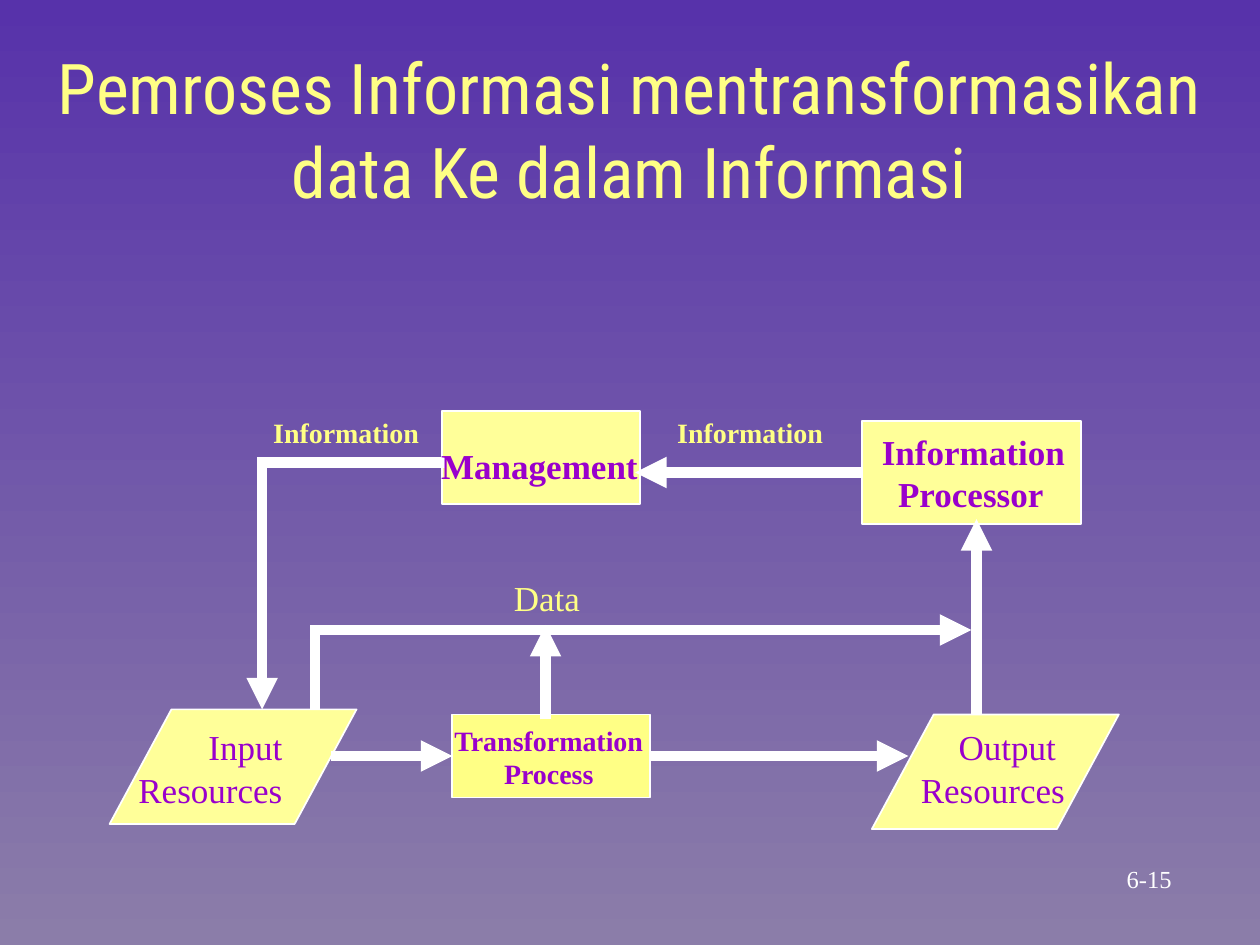
from dataclasses import dataclass
from typing import Optional

from lxml.etree import SubElement
from pptx import Presentation
from pptx.dml.color import RGBColor
from pptx.enum.shapes import MSO_CONNECTOR, MSO_SHAPE
from pptx.enum.text import MSO_ANCHOR, MSO_AUTO_SIZE, PP_ALIGN
from pptx.oxml.ns import qn
from pptx.util import Inches, Pt

COLORS = {
    "sky": "5732AA", "haze": "8B7DA9", "cream": "FFFF99",
    "yellow": "FFFF85", "purple": "9900CC", "white": "FFFFFF",
}
SERIF = "Times New Roman"
LEFT, CENTER, RIGHT = PP_ALIGN.LEFT, PP_ALIGN.CENTER, PP_ALIGN.RIGHT
LEFT_SIDE, RIGHT_SIDE = 1, 3


@dataclass
class Node:
    kind: MSO_SHAPE
    box: tuple
    fill: str = "cream"


@dataclass
class Flow:
    start: tuple
    end: tuple
    arrow: bool = True
    source: Optional[tuple] = None  # node name and side
    target: Optional[tuple] = None


@dataclass
class Label:
    lines: tuple
    box: tuple
    size: int = 20
    color: str = "purple"
    bold: bool = False
    align: PP_ALIGN = LEFT
    anchor: MSO_ANCHOR = MSO_ANCHOR.TOP


NODES = {
    "input": Node(MSO_SHAPE.PARALLELOGRAM, (0.87, 5.63, 1.96, 0.91)),
    "management": Node(MSO_SHAPE.RECTANGLE, (3.51, 3.26, 1.57, 0.74)),
    "transformation": Node(MSO_SHAPE.RECTANGLE, (3.59, 5.67, 1.57, 0.66), "yellow"),
    "processor": Node(MSO_SHAPE.RECTANGLE, (6.84, 3.34, 1.74, 0.82)),
    "output": Node(MSO_SHAPE.PARALLELOGRAM, (6.92, 5.67, 1.96, 0.91)),
}

FLOWS = [
    Flow((6.84, 3.75), (5.04, 3.75), source=("processor", LEFT_SIDE)),
    Flow((7.75, 5.67), (7.75, 4.12)),
    Flow((5.16, 6), (7.21, 6), source=("transformation", RIGHT_SIDE)),
    Flow((2.63, 6), (3.59, 6), target=("transformation", LEFT_SIDE)),
    Flow((3.54, 3.67), (2.04, 3.67), arrow=False),
    Flow((2.08, 3.71), (2.08, 5.63)),
    Flow((2.5, 5.63), (2.5, 4.96), arrow=False),
    Flow((2.54, 5), (7.71, 5)),
    Flow((4.33, 5.71), (4.33, 4.96)),
]

LABELS = [
    Label(("Management",), (3.34, 3.48, 1.82, 0.43), bold=True, align=RIGHT),
    Label(("Information",), (6.9, 3.37, 1.75, 0.43), bold=True),
    Label(("Processor",), (6.82, 3.7, 1.56, 0.43), bold=True, align=RIGHT),
    Label(("Output",), (7.51, 5.71, 1.15, 0.43)),
    Label(("Resources",), (7.21, 6.05, 1.5, 0.43)),
    Label(("Input",), (1.41, 5.71, 0.93, 0.43), align=RIGHT),
    Label(("Resources",), (1, 6.05, 1.5, 0.43)),
    Label(("Information",), (2.07, 3.25, 1.44, 0.36), 16, "yellow", True),
    Label(("Information",), (5.15, 3.25, 1.48, 0.36), 16, "yellow", True, RIGHT),
    Label(("Data",), (3.98, 4.53, 0.9, 0.43), color="yellow"),
    Label(("Transformation", "Process"), (3.45, 5.69, 1.81, 0.63), 16,
          bold=True, align=CENTER),
    Label(("6-15",), (8.53, 6.8, 1.18, 0.34), 14, "white", align=CENTER,
          anchor=MSO_ANCHOR.MIDDLE),
]


def rgb(name: str) -> RGBColor:
    return RGBColor.from_string(COLORS[name])


def inches(values: tuple) -> list:
    return [Inches(value) for value in values]


def paint_background(slide) -> None:
    fill = slide.background.fill
    fill.gradient()
    fill.gradient_angle = 270
    for stop, color in zip(fill.gradient_stops, ("sky", "haze")):
        stop.color.rgb = rgb(color)


def write(frame, lines: tuple, font_name: str, size: int, color: str,
          bold: bool, align: PP_ALIGN) -> None:
    frame.text = "\n".join(lines)
    for paragraph in frame.paragraphs:
        paragraph.alignment = align
        font = paragraph.font
        font.name, font.size, font.bold = font_name, Pt(size), bold
        font.color.rgb = rgb(color)


def set_title(slide, lines: tuple) -> None:
    title = slide.shapes.title
    title.left, title.top, title.width, title.height = inches((-0.61, 0.3, 11.21, 1.43))
    frame = title.text_frame
    frame.auto_size = MSO_AUTO_SIZE.NONE
    frame.vertical_anchor = MSO_ANCHOR.TOP
    write(frame, lines, "Roboto Condensed", 40, "yellow", False, CENTER)


def add_node(slide, node: Node):
    shape = slide.shapes.add_shape(node.kind, *inches(node.box))
    if node.kind == MSO_SHAPE.PARALLELOGRAM:
        shape.adjustments[0] = 0.54
    shape.shadow.inherit = False
    shape.fill.solid()
    shape.fill.fore_color.rgb = rgb(node.fill)
    shape.line.color.rgb = rgb("white")
    shape.line.width = Pt(1)
    return shape


def add_flow(slide, flow: Flow, shapes: dict) -> None:
    connector = slide.shapes.add_connector(
        MSO_CONNECTOR.STRAIGHT, *inches(flow.start + flow.end))
    if flow.source:
        name, side = flow.source
        connector.begin_connect(shapes[name], side)
    if flow.target:
        name, side = flow.target
        connector.end_connect(shapes[name], side)
    connector.line.color.rgb = rgb("white")
    connector.line.width = Pt(6)
    properties = connector._element.spPr
    if flow.arrow:
        SubElement(properties.find(qn("a:ln")), qn("a:tailEnd"), type="triangle")
    SubElement(properties, qn("a:effectLst"))


def add_label(slide, label: Label) -> None:
    frame = slide.shapes.add_textbox(*inches(label.box)).text_frame
    frame.word_wrap = True
    frame.vertical_anchor = label.anchor
    write(frame, label.lines, SERIF, label.size, label.color, label.bold, label.align)


def main() -> None:
    deck = Presentation()
    deck.slide_width, deck.slide_height = Inches(10), Inches(7.5)
    slide = deck.slides.add_slide(deck.slide_layouts[5])
    paint_background(slide)
    set_title(slide, ("Pemroses Informasi mentransformasikan",
                      "data Ke dalam Informasi"))
    shapes = {name: add_node(slide, node) for name, node in NODES.items()}
    for flow in FLOWS:
        add_flow(slide, flow, shapes)
    for label in LABELS:
        add_label(slide, label)
    deck.save("out.pptx")


if __name__ == "__main__":
    main()
